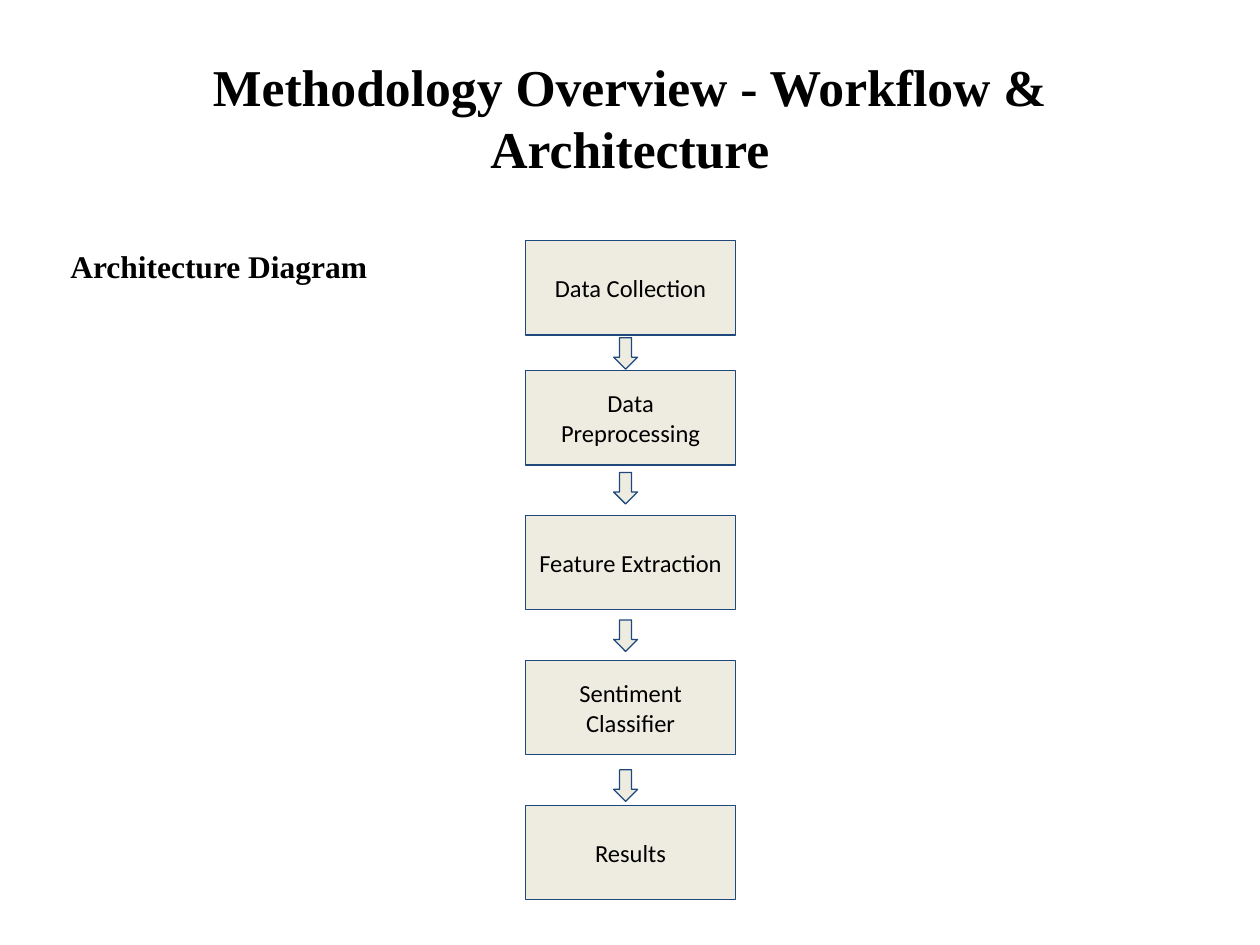
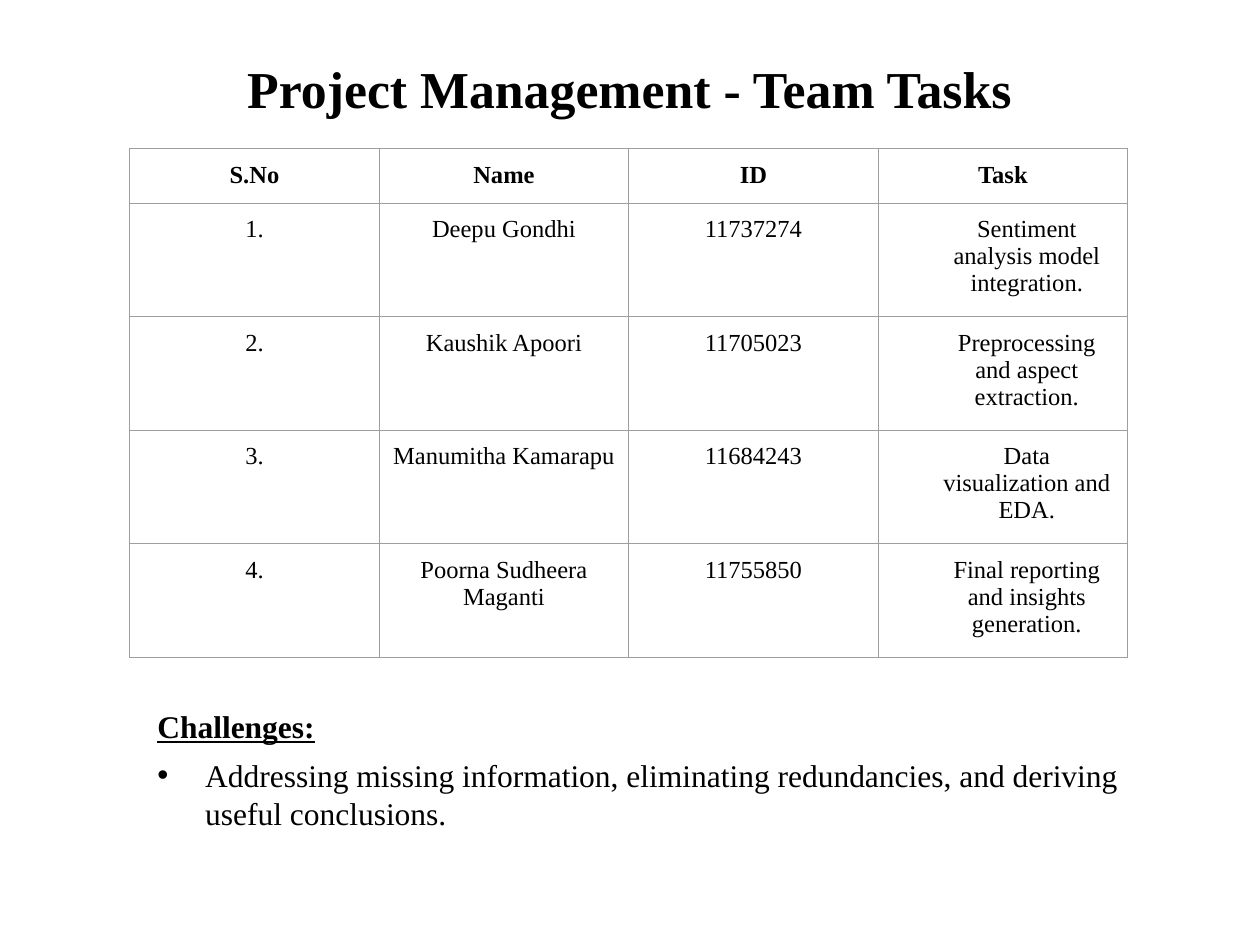
from lxml.etree import SubElement
from pptx import Presentation
from pptx.dml.color import RGBColor
from pptx.enum.shapes import MSO_SHAPE
from pptx.enum.text import MSO_ANCHOR, MSO_AUTO_SIZE, PP_ALIGN
from pptx.oxml.ns import qn
from pptx.util import Inches, Pt

BLACK = RGBColor(0x00, 0x00, 0x00)
CREAM = RGBColor(0xEE, 0xEC, 0xE1)
NAVY = RGBColor(0x1F, 0x49, 0x7D)
GRID_GRAY = RGBColor(0x9E, 0x9E, 0x9E)
SERIF = "Times New Roman"
SANS = "Calibri"
TITLE_ONLY = 5

STEPS = [("Data Collection", 0), ("Data Preprocessing", 1.03),
         ("Feature Extraction", 2.18), ("Sentiment Classifier", 3.33),
         ("Results", 4.48)]
ARROW_TOPS = [0.77, 1.84, 3.01, 4.2]
TEAM_TASKS = [
    ("S.No", "Name", "ID", "Task"),
    ("1.", "Deepu Gondhi", "11737274", "Sentiment analysis model integration."),
    ("2.", "Kaushik Apoori", "11705023", "Preprocessing and aspect extraction."),
    ("3.", "Manumitha Kamarapu", "11684243", "Data visualization and EDA."),
    ("4.", "Poorna Sudheera Maganti", "11755850",
     "Final reporting and insights generation."),
]


def write(paragraph, text, size=18, font=SERIF, bold=False, underline=False,
          align=PP_ALIGN.LEFT, space_before=0, line_spacing=1.0):
    paragraph.alignment = align
    paragraph.space_before = Pt(space_before)
    paragraph.line_spacing = line_spacing
    run = paragraph.add_run()
    run.text = text
    run.font.size = Pt(size)
    run.font.name = font
    run.font.bold = bold
    run.font.underline = underline
    run.font.color.rgb = BLACK


def indent(paragraph, left, first_line=0, bullet=None):
    """Set the paragraph's indents in inches and its optional bullet."""
    properties = paragraph._p.get_or_add_pPr()
    properties.set("marL", str(Inches(left)))
    properties.set("indent", str(Inches(first_line)))
    if bullet:
        SubElement(properties, qn("a:buFont"), typeface="Arial")
        SubElement(properties, qn("a:buChar"), char=bullet)


def set_insets(frame, inset_x=0.1, inset_y=0.1):
    frame.margin_left = frame.margin_right = Inches(inset_x)
    frame.margin_top = frame.margin_bottom = Inches(inset_y)


def add_titled_slide(deck, heading, top, size):
    slide = deck.slides.add_slide(deck.slide_layouts[TITLE_ONLY])
    title = slide.shapes.title
    title.left, title.top = Inches(0.5), Inches(top)
    title.width, title.height = Inches(9), Inches(1.25)
    frame = title.text_frame
    frame.word_wrap = True
    frame.auto_size = MSO_AUTO_SIZE.NONE
    frame.vertical_anchor = MSO_ANCHOR.MIDDLE
    set_insets(frame, inset_y=0.05)
    write(frame.paragraphs[0], heading, size=size, bold=True,
          align=PP_ALIGN.CENTER, line_spacing=1.0)
    return slide


def add_text_frame(slide, left, top, width, height, inset_y=0.1):
    box = slide.shapes.add_textbox(Inches(left), Inches(top),
                                   Inches(width), Inches(height))
    box.text_frame.word_wrap = True
    set_insets(box.text_frame, inset_y=inset_y)
    return box.text_frame


def add_flow_shape(slide, preset, left, top, width, height):
    shape = slide.shapes.add_shape(preset, Inches(left), Inches(top),
                                   Inches(width), Inches(height))
    shape.shadow.inherit = False
    shape.fill.solid()
    shape.fill.fore_color.rgb = CREAM
    shape.line.color.rgb = NAVY
    shape.line.width = Pt(0.75)
    return shape


def add_workflow(slide, left, top, step_width=1.67, step_height=0.75):
    for label, offset in STEPS:
        step = add_flow_shape(slide, MSO_SHAPE.RECTANGLE, left, top + offset,
                              step_width, step_height)
        frame = step.text_frame
        frame.word_wrap = True
        frame.vertical_anchor = MSO_ANCHOR.MIDDLE
        set_insets(frame)
        write(frame.paragraphs[0], label, size=14, font=SANS,
              align=PP_ALIGN.CENTER)
    for offset in ARROW_TOPS:
        add_flow_shape(slide, MSO_SHAPE.DOWN_ARROW, left + 0.7, top + offset,
                       0.19, 0.25)


def set_borders(cell):
    properties = cell._tc.get_or_add_tcPr()
    for position, side in enumerate(("a:lnL", "a:lnR", "a:lnT", "a:lnB")):
        line = properties.makeelement(qn(side), {"w": str(Pt(0.75))})
        fill = SubElement(line, qn("a:solidFill"))
        SubElement(fill, qn("a:srgbClr"), val=str(GRID_GRAY))
        properties.insert(position, line)


def add_task_table(slide, left, top, column_width=1.98):
    row_heights = [0.42] + [0.84] * (len(TEAM_TASKS) - 1)
    columns = len(TEAM_TASKS[0])
    table = slide.shapes.add_table(
        len(TEAM_TASKS), columns, Inches(left), Inches(top),
        Inches(columns * column_width), Inches(sum(row_heights))).table
    for column in table.columns:
        column.width = Inches(column_width)
    for row_index, values in enumerate(TEAM_TASKS):
        table.rows[row_index].height = Inches(row_heights[row_index])
        for column_index, value in enumerate(values):
            cell = table.cell(row_index, column_index)
            cell.fill.background()
            set_insets(cell)
            set_borders(cell)
            paragraph = cell.text_frame.paragraphs[0]
            write(paragraph, value, size=14, bold=row_index == 0,
                  align=PP_ALIGN.CENTER)
            if row_index and column_index == columns - 1:
                indent(paragraph, 0.38)


def add_challenges(slide, left, top, width, height):
    frame = add_text_frame(slide, left, top, width, height, inset_y=0.05)
    write(frame.paragraphs[0], "Challenges:", bold=True, underline=True)
    challenge = frame.add_paragraph()
    write(challenge, "Addressing missing information, eliminating redundancies, "
          "and deriving useful conclusions.", space_before=6.4)
    indent(challenge, 0.38, -0.38, bullet="•")


def build_methodology_slide(deck):
    slide = add_titled_slide(deck, "Methodology Overview - Workflow & Architecture",
                             top=0.3, size=29.5)
    caption = add_text_frame(slide, 0.46, 1.86, 6.69, 0.5)
    write(caption.paragraphs[0], "Architecture Diagram", bold=True)
    add_workflow(slide, 4.17, 1.91)


def build_management_slide(deck):
    slide = add_titled_slide(deck, "Project Management - Team Tasks",
                             top=0.07, size=29.6)
    add_challenges(slide, 1.15, 5.56, 8.22, 1.27)
    add_task_table(slide, 1.03, 1.18)


def main():
    deck = Presentation()
    deck.slide_width, deck.slide_height = Inches(10), Inches(7.5)
    build_methodology_slide(deck)
    build_management_slide(deck)
    deck.save("out.pptx")


if __name__ == "__main__":
    main()
